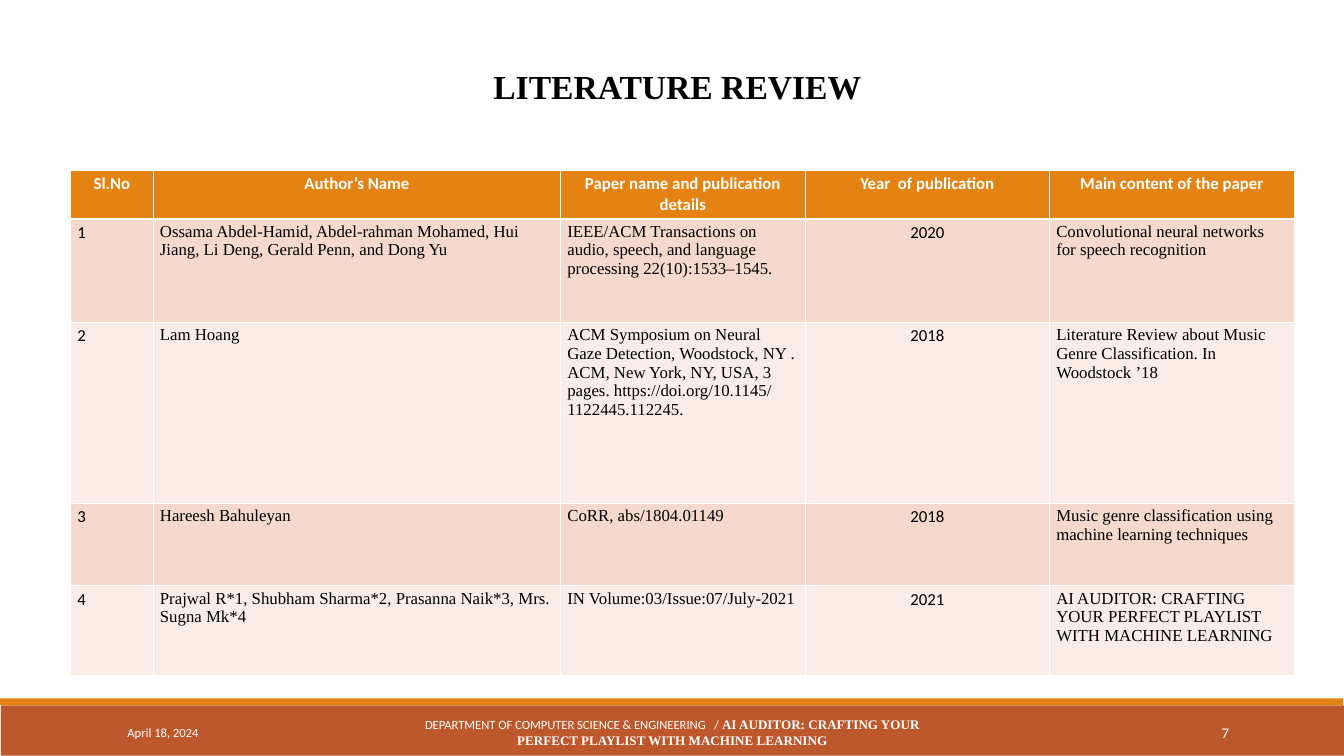
from lxml.etree import SubElement
from pptx import Presentation
from pptx.dml.color import RGBColor
from pptx.enum.shapes import MSO_SHAPE as Shape
from pptx.enum.text import MSO_ANCHOR as Anchor, PP_ALIGN as Align
from pptx.oxml.ns import qn
from pptx.util import Cm, Pt

COLORS = {
    "white": "FFFFFF",
    "black": "000000",
    "orange": "E48312",
    "rust": "BD582C",
    "odd_row": "F5D9CC",
    "even_row": "FAEDE7",
}
SANS, SERIF = "Calibri", "Times New Roman"

HEADINGS = ["Sl.No", "Author’s Name", "Paper name and publication details",
            "Year  of publication", "Main content of the paper"]
PAPERS = [
    ["1",
     "Ossama Abdel-Hamid, Abdel-rahman Mohamed, Hui Jiang, Li Deng, Gerald Penn, and Dong Yu",
     "IEEE/ACM Transactions on audio, speech, and language processing 22(10):1533–1545.",
     "2020",
     "Convolutional neural networks for speech recognition"],
    ["2",
     "Lam Hoang",
     "ACM Symposium on Neural Gaze Detection, Woodstock, NY . ACM, New York, NY, USA, 3 "
     "pages. https://doi.org/10.1145/ 1122445.112245.",
     "2018",
     "Literature Review about Music Genre Classification. In Woodstock ’18"],
    ["3",
     "Hareesh Bahuleyan",
     "CoRR, abs/1804.01149",
     "2018",
     "Music genre classification using machine learning techniques"],
    ["4",
     "Prajwal R*1, Shubham Sharma*2, Prasanna Naik*3, Mrs. Sugna Mk*4",
     "IN Volume:03/Issue:07/July-2021",
     "2021",
     "AI AUDITOR: CRAFTING YOUR PERFECT PLAYLIST WITH MACHINE LEARNING"],
]
COLUMN_WIDTHS = [3.12, 15.4, 9.24, 9.24, 9.24]
ROW_HEIGHTS = [1.83, 3.91, 6.83, 3.12, 3.38]
COLUMN_FONTS = [SANS, SERIF, SERIF, SANS, SERIF]
YEAR_COLUMN = 3


def rgb(name):
    return RGBColor.from_string(COLORS[name])


def style(font, size, face, color, bold=False):
    font.size, font.name, font.bold = Pt(size), face, bold
    font.color.rgb = rgb(color)


def add_bar(slide, left, top, width, height, color):
    bar = slide.shapes.add_shape(Shape.RECTANGLE, Cm(left), Cm(top), Cm(width), Cm(height))
    bar.shadow.inherit = False
    bar.fill.solid()
    bar.fill.fore_color.rgb = rgb(color)
    bar.line.fill.background()


def add_text(slide, left, top, width, height, align, anchor=Anchor.MIDDLE):
    """Add an empty wrapped text box and return its first paragraph."""
    frame = slide.shapes.add_textbox(Cm(left), Cm(top), Cm(width), Cm(height)).text_frame
    frame.word_wrap = True
    frame.vertical_anchor = anchor
    paragraph = frame.paragraphs[0]
    paragraph.alignment = align
    return paragraph


def add_title(slide):
    title = add_text(slide, 1.55, 1.6, 46.84, 2.29, Align.CENTER, Anchor.TOP)
    title._p.get_or_add_pPr().set("marL", str(Cm(1.27)))
    title.line_spacing = 1.5
    title.text = "LITERATURE REVIEW"
    style(title.font, 36, SERIF, "black", bold=True)


def set_borders(cell, widths):
    """Draw white cell borders; widths maps L, R, T and B to points."""
    properties = cell._tc.get_or_add_tcPr()
    for side, width in widths.items():
        line = SubElement(properties, qn(f"a:ln{side}"), w=str(Pt(width)))
        fill = SubElement(line, qn("a:solidFill"))
        SubElement(fill, qn("a:srgbClr"), val=COLORS["white"])


def fill_cell(cell, text, face, text_color, fill, row, centred):
    is_heading = row == 0
    set_borders(cell, {"L": 1, "R": 1, "T": 3 if row == 1 else 1, "B": 3 if is_heading else 1})
    cell.fill.solid()
    cell.fill.fore_color.rgb = rgb(fill)
    paragraph = cell.text_frame.paragraphs[0]
    paragraph.text = text
    paragraph.alignment = Align.CENTER if centred else Align.LEFT
    style(paragraph.font, 18, face, text_color, bold=is_heading)


def add_review_table(slide):
    table = slide.shapes.add_table(
        len(ROW_HEIGHTS), len(COLUMN_WIDTHS), Cm(2.67), Cm(6.45),
        Cm(sum(COLUMN_WIDTHS)), Cm(sum(ROW_HEIGHTS))).table
    for column, width in zip(table.columns, COLUMN_WIDTHS):
        column.width = Cm(width)
    for row, height in zip(table.rows, ROW_HEIGHTS):
        row.height = Cm(height)
    for col, heading in enumerate(HEADINGS):
        fill_cell(table.cell(0, col), heading, SANS, "white", "orange", 0, True)
    for row, paper in enumerate(PAPERS, start=1):
        fill = "odd_row" if row % 2 else "even_row"
        for col, text in enumerate(paper):
            fill_cell(table.cell(row, col), text, COLUMN_FONTS[col], "black", fill, row,
                      col == YEAR_COLUMN)


def add_footer(slide):
    add_bar(slide, 0.03, 26.67, 50.77, 1.9, "rust")
    add_bar(slide, 0, 26.4, 50.77, 0.26, "orange")
    top, height = 26.92, 1.52

    date = add_text(slide, 4.57, top, 10.31, height, Align.LEFT)
    date.text = "April 18, 2024"
    style(date.font, 13.5, SANS, "white")

    department = add_text(slide, 15.37, top, 20.09, height, Align.CENTER)
    name = department.add_run()
    name.text = "DEPARTMENT OF COMPUTER SCIENCE & ENGINEERING   / "
    style(name.font, 13.5, SANS, "white")
    project = department.add_run()
    project.text = "AI AUDITOR: CRAFTING YOUR PERFECT PLAYLIST WITH MACHINE LEARNING"
    style(project.font, 14, SERIF, "white", bold=True)

    page = add_text(slide, 41.25, top, 5.46, height, Align.RIGHT)
    page.text = "7"
    style(page.font, 15.8, SANS, "white")


def main():
    deck = Presentation()
    deck.slide_width, deck.slide_height = Cm(50.8), Cm(28.58)
    slide = deck.slides.add_slide(deck.slide_layouts[6])
    add_footer(slide)
    add_title(slide)
    add_review_table(slide)
    deck.save("out.pptx")


if __name__ == "__main__":
    main()
